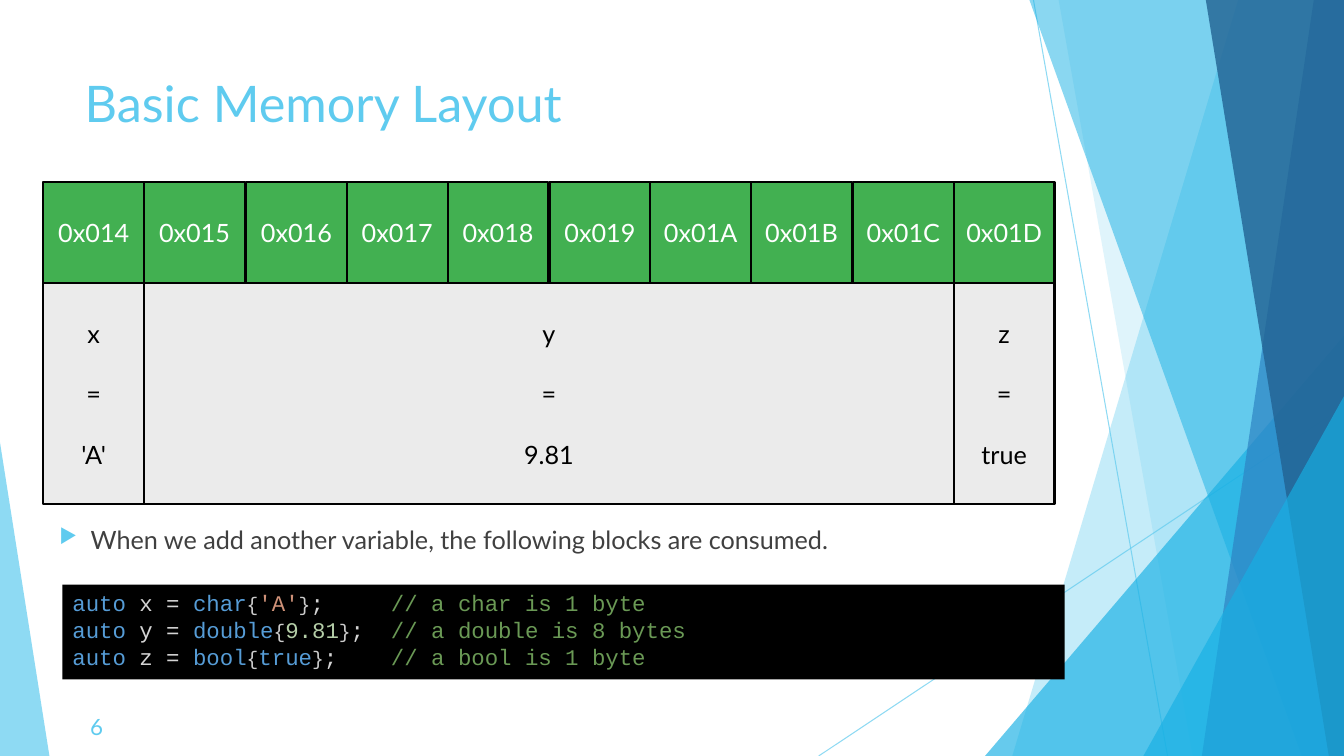
from dataclasses import dataclass

from lxml.etree import SubElement
from pptx import Presentation
from pptx.dml.color import RGBColor
from pptx.enum.shapes import MSO_CONNECTOR, MSO_SHAPE
from pptx.enum.text import MSO_ANCHOR, MSO_AUTO_SIZE, PP_ALIGN
from pptx.oxml import parse_xml
from pptx.oxml.ns import nsdecls, qn
from pptx.util import Pt

PX = 9144  # 100 px to the inch
WIDTH, HEIGHT = 1333, 750
CELL_LEFT, CELL_TOP, CELL_SIZE, CELL_PITCH = 43, 181, 100, 100.33
BODY_FONT, CODE_FONT = "Lato", "Courier New"

COLORS = {
    "white": "FFFFFF", "black": "000000", "sky": "5FCBEF", "cyan": "17B0E4",
    "blue": "2E83C3", "navy": "226292", "address": "42B051", "value": "EBEBEB",
    "body": "404040", "keyword": "569CD6", "plain": "D4D4D4", "brace": "CCCCCC",
    "string": "CE9178", "number": "B5CEA8", "comment": "6A9955",
}


@dataclass(frozen=True)
class Box:
    left: int
    top: int
    width: int
    height: int

    def emu(self) -> tuple[int, ...]:
        return tuple(n * PX for n in (self.left, self.top, self.width, self.height))


@dataclass(frozen=True)
class Ray:
    start: tuple[int, int]
    end: tuple[int, int]


@dataclass(frozen=True)
class Band:
    """A facet reaching the right edge, with a slanted left side."""
    top_x: int
    bottom_x: int
    color: str
    opacity: int


@dataclass(frozen=True)
class Corner:
    box: Box
    apex: int
    color: str
    opacity: int


@dataclass(frozen=True)
class Variable:
    name: str
    kind: str
    literal: str
    literal_color: str
    comment: str
    first_cell: int
    last_cell: int


RAYS = [Ray((1025, 0), (1158, 750)), Ray((1333, 403), (812, 750))]
FACETS = [
    Band(1228, 1004, "sky", 36),
    Band(1050, 1183, "sky", 20),
    Corner(Box(977, 333, 356, 417), 1, "cyan", 66),
    Band(1021, 1291, "cyan", 50),
    Band(1303, 1192, "blue", 70),
    Band(1196, 1318, "navy", 80),
    Corner(Box(1134, 393, 199, 357), 1, "cyan", 66),
    Corner(Box(0, 439, 49, 311), 0, "sky", 70),
]
ADDRESSES = [f"0x{number:03X}" for number in range(0x014, 0x01E)]
VARIABLES = [
    Variable("x", "char", "'A'", "string", "// a char is 1 byte", 0, 0),
    Variable("y", "double", "9.81", "number", "// a double is 8 bytes", 1, 8),
    Variable("z", "bool", "true", "keyword", "// a bool is 1 byte", 9, 9),
]


def rgb(name: str) -> RGBColor:
    return RGBColor.from_string(COLORS[name])


def set_opacity(shape, percent: int) -> None:
    for color in list(shape._element.spPr.iter(qn("a:srgbClr"))):
        SubElement(color, qn("a:alpha"), val=str(percent * 1000))


def paint(shape, color: str, line: str | None = None) -> None:
    shape.shadow.inherit = False
    shape.fill.solid()
    shape.fill.fore_color.rgb = rgb(color)
    if line:
        shape.line.color.rgb = rgb(line)
        shape.line.width = Pt(1.5)
    else:
        shape.line.fill.background()


def style(para, size: int, color: str, align=PP_ALIGN.LEFT) -> None:
    para.alignment = align
    para.font.name = BODY_FONT
    para.font.size = Pt(size)
    para.font.color.rgb = rgb(color)


def add_ray(slide, ray: Ray) -> None:
    ends = [n * PX for n in (*ray.start, *ray.end)]
    line = slide.shapes.add_connector(MSO_CONNECTOR.STRAIGHT, *ends)
    line.line.color.rgb = rgb("sky")
    line.line.width = Pt(0.75)
    SubElement(line._element.spPr, qn("a:effectLst"))
    set_opacity(line, 70)


def add_facet(slide, facet: Band | Corner) -> None:
    if isinstance(facet, Band):
        outline = slide.shapes.build_freeform(facet.top_x, 0, scale=PX)
        outline.add_line_segments([(WIDTH, 0), (WIDTH, HEIGHT), (facet.bottom_x, HEIGHT)])
        shape = outline.convert_to_shape()
    else:
        shape = slide.shapes.add_shape(MSO_SHAPE.ISOSCELES_TRIANGLE, *facet.box.emu())
        shape.adjustments[0] = facet.apex
    paint(shape, facet.color)
    set_opacity(shape, facet.opacity)


def add_cell(slide, box: Box, lines: list[str], fill: str, ink: str) -> None:
    cell = slide.shapes.add_shape(MSO_SHAPE.RECTANGLE, *box.emu())
    paint(cell, fill, "black")
    frame = cell.text_frame
    frame.vertical_anchor = MSO_ANCHOR.MIDDLE
    frame.text = "\n".join(lines)
    for index, para in enumerate(frame.paragraphs):
        style(para, 18, ink, PP_ALIGN.CENTER)
        if index:
            para.space_before = Pt(21.6)


def add_text(slide, box: Box, text: str, size: int, color: str, align=PP_ALIGN.LEFT):
    frame = slide.shapes.add_textbox(*box.emu()).text_frame
    frame.word_wrap = True
    frame.text = text
    style(frame.paragraphs[0], size, color, align)
    return frame


def add_bullet(para) -> None:
    properties = para._p.get_or_add_pPr()
    properties.set("marL", str(31 * PX))
    properties.set("indent", str(-31 * PX))
    marks = [
        f'<a:buClr {nsdecls("a")}><a:srgbClr val="{COLORS["sky"]}"/></a:buClr>',
        f'<a:buSzPct {nsdecls("a")} val="80000"/>',
        f'<a:buChar {nsdecls("a")} char="▶"/>',
    ]
    for position, mark in enumerate(marks):
        properties.insert(position, parse_xml(mark))


def add_code_line(para, variable: Variable) -> None:
    para.alignment = PP_ALIGN.LEFT
    para.font.name = CODE_FONT
    tabs = f'<a:tabLst {nsdecls("a")}><a:tab pos="{316 * PX}" algn="l"/></a:tabLst>'
    para._p.get_or_add_pPr().insert(0, parse_xml(tabs))
    tokens = [
        ("auto", "keyword"), (f" {variable.name} = ", "plain"),
        (variable.kind, "keyword"), ("{", "brace"),
        (variable.literal, variable.literal_color), ("}", "brace"),
        (";", "plain"), (f"\t{variable.comment}", "comment"),
    ]
    for text, color in tokens:
        span = para.add_run()
        span.text = text
        span.font.size = Pt(14 if color == "brace" else 16)
        span.font.color.rgb = rgb(color)


def cell_left(index: int) -> int:
    return round(CELL_LEFT + index * CELL_PITCH)


def main() -> None:
    deck = Presentation()
    deck.slide_width, deck.slide_height = WIDTH * PX, HEIGHT * PX
    page = deck.slides.add_slide(deck.slide_layouts[5])

    # Background facets
    for ray in RAYS:
        add_ray(page, ray)
    for facet in FACETS:
        add_facet(page, facet)

    # Title
    title = page.shapes.title
    title.left, title.top, title.width, title.height = Box(74, 67, 940, 144).emu()
    title.text_frame.text = "Basic Memory Layout"
    title.text_frame.vertical_anchor = MSO_ANCHOR.TOP
    title.text_frame.auto_size = MSO_AUTO_SIZE.NONE
    style(title.text_frame.paragraphs[0], 36, "sky")

    # Memory cells
    for index, address in enumerate(ADDRESSES):
        box = Box(cell_left(index), CELL_TOP, CELL_SIZE, CELL_SIZE)
        add_cell(page, box, [address], "address", "white")
    for variable in VARIABLES:
        left = cell_left(variable.first_cell)
        width = cell_left(variable.last_cell) + CELL_SIZE - left
        box = Box(left, CELL_TOP + CELL_SIZE, width, 219)
        add_cell(page, box, [variable.name, "=", variable.literal], "value", "black")

    # Explanation
    message = "When we add another variable, the following blocks are consumed."
    add_bullet(add_text(page, Box(49, 515, 951, 40), message, 18, "body").paragraphs[0])

    # Code
    code = page.shapes.add_shape(MSO_SHAPE.RECTANGLE, *Box(62, 580, 994, 94).emu())
    paint(code, "black")
    frame = code.text_frame
    frame.vertical_anchor = MSO_ANCHOR.TOP
    for index, variable in enumerate(VARIABLES):
        add_code_line(frame.add_paragraph() if index else frame.paragraphs[0], variable)

    # Page number
    number = add_text(page, Box(37, 701, 75, 40), "6", 16, "sky", PP_ALIGN.RIGHT)
    number.vertical_anchor = MSO_ANCHOR.MIDDLE

    deck.save("out.pptx")


if __name__ == "__main__":
    main()
